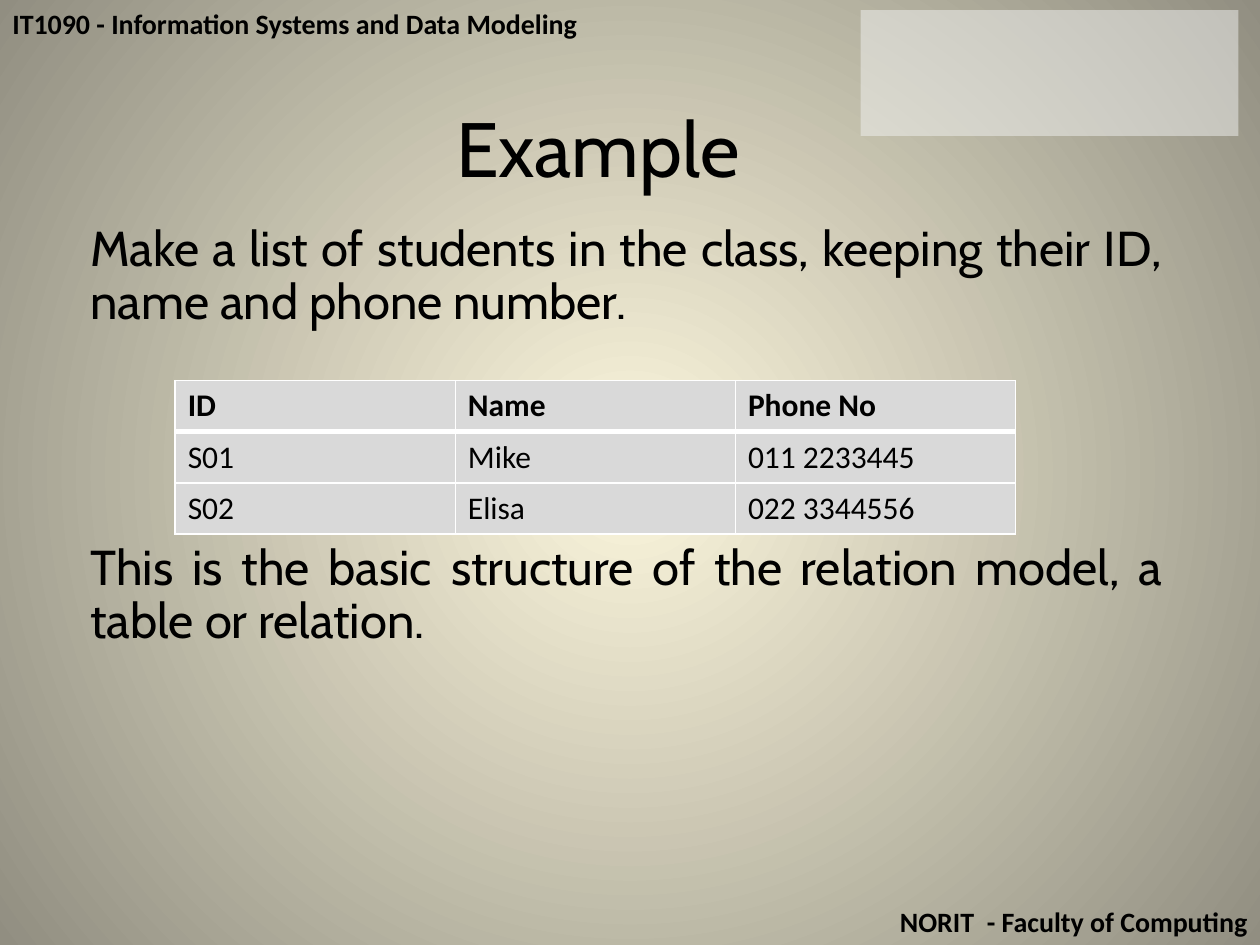
from lxml.etree import SubElement
from pptx import Presentation
from pptx.dml.color import RGBColor
from pptx.enum.shapes import MSO_SHAPE
from pptx.enum.text import PP_ALIGN
from pptx.oxml import parse_xml
from pptx.oxml.ns import nsdecls, qn
from pptx.util import Inches, Pt

BLACK = RGBColor(0x00, 0x00, 0x00)
WHITE = RGBColor(0xFF, 0xFF, 0xFF)
CREAM = RGBColor(0xFC, 0xF7, 0xDD)
OLIVE = RGBColor(0x91, 0x8E, 0x81)
PALE_GREY = RGBColor(0xF2, 0xF2, 0xF2)
CELL_GREY = RGBColor(0xD9, 0xD9, 0xD9)

BODY = [
    "Make a list of students in the class, keeping their ID, name and phone number.",
    "This is the basic structure of the relation model, a table or relation.",
]
STUDENTS = [
    ["ID", "Name", "Phone No"],
    ["S01", "Mike", "011 2233445"],
    ["S02", "Elisa", "022 3344556"],
]


def style_paragraph(para, font_name, size, bold=False, align=PP_ALIGN.LEFT):
    """Set the font and alignment of a whole paragraph."""
    para.alignment = align
    para.font.name = font_name
    para.font.size = Pt(size)
    para.font.bold = bold
    para.font.color.rgb = BLACK


def add_text(page, box, lines, font_name, size, bold=False, align=PP_ALIGN.LEFT):
    """Add a wrapped text box with one paragraph per line and return its frame."""
    frame = page.shapes.add_textbox(*map(Inches, box)).text_frame
    frame.word_wrap = True
    frame.text = "\n".join(lines)
    for para in frame.paragraphs:
        style_paragraph(para, font_name, size, bold, align)
    return frame


def paint_background(page):
    """Fill the page with a circular gradient from its centre."""
    fill = page.background.fill
    fill.gradient()
    for stop, color in zip(fill.gradient_stops, (CREAM, OLIVE)):
        stop.color.rgb = color
    gradient = next(page.element.iter(qn("a:gradFill")))
    gradient.remove(gradient.find(qn("a:lin")))
    gradient.append(parse_xml(
        f'<a:path {nsdecls("a")} path="circle">'
        '<a:fillToRect l="50000" t="50000" r="50000" b="50000"/></a:path>'
    ))


def add_logo_panel(page, box):
    """Add the half-transparent panel in the corner."""
    panel = page.shapes.add_shape(MSO_SHAPE.RECTANGLE, *map(Inches, box))
    panel.shadow.inherit = False
    panel.line.fill.background()
    panel.fill.solid()
    panel.fill.fore_color.rgb = PALE_GREY
    color = next(panel.element.spPr.iter(qn("a:srgbClr")))
    SubElement(color, qn("a:alpha"), val="50000")


def add_body(page, box):
    """Add the two statements, leaving room between them for the table."""
    frame = add_text(page, box, BODY, "Cabin", 28, align=PP_ALIGN.JUSTIFY)
    for para in frame.paragraphs:
        para.line_spacing = 0.9
    frame.paragraphs[1].space_before = Inches(1.69)


def set_borders(cell, bottom=1, top=1):
    """Draw white cell borders with the given widths in points."""
    props = cell._tc.get_or_add_tcPr()
    widths = {"lnL": 1, "lnR": 1, "lnT": top, "lnB": bottom}
    for index, (side, width) in enumerate(widths.items()):
        props.insert(index, parse_xml(
            f'<a:{side} {nsdecls("a")} w="{Pt(width)}"><a:solidFill>'
            f'<a:srgbClr val="{WHITE}"/></a:solidFill></a:{side}>'
        ))


def add_student_table(page, box):
    """Add the table of students with a bold header row."""
    table = page.shapes.add_table(
        len(STUDENTS), len(STUDENTS[0]), *map(Inches, box)
    ).table
    table.horz_banding = False
    for row, values in enumerate(STUDENTS):
        for column, value in enumerate(values):
            cell = table.cell(row, column)
            cell.text = value
            cell.fill.solid()
            cell.fill.fore_color.rgb = CELL_GREY
            style_paragraph(cell.text_frame.paragraphs[0], "Calibri", 18, row == 0)
            set_borders(cell, 3 if row == 0 else 1, 3 if row == 1 else 1)


def main():
    """Build the deck and save it."""
    deck = Presentation()
    deck.slide_width, deck.slide_height = Inches(10), Inches(7.5)
    page = deck.slides.add_slide(deck.slide_layouts[6])
    paint_background(page)
    add_text(page, (0, 0, 10, 0.37), ["IT1090 - Information Systems and Data Modeling"],
             "Calibri", 16, bold=True)
    add_text(page, (0, 7.13, 10, 0.37), ["NORIT  - Faculty of Computing"],
             "Calibri", 16, bold=True, align=PP_ALIGN.RIGHT)
    add_logo_panel(page, (6.83, 0.08, 3, 1))
    add_text(page, (1.33, 0.75, 6.97, 1.41), ["Example "], "Cabin", 44,
             align=PP_ALIGN.CENTER)
    add_body(page, (0.62, 1.73, 8.7, 4.45))
    add_student_table(page, (1.39, 3.02, 6.67, 1.22))
    deck.save("out.pptx")


if __name__ == "__main__":
    main()
